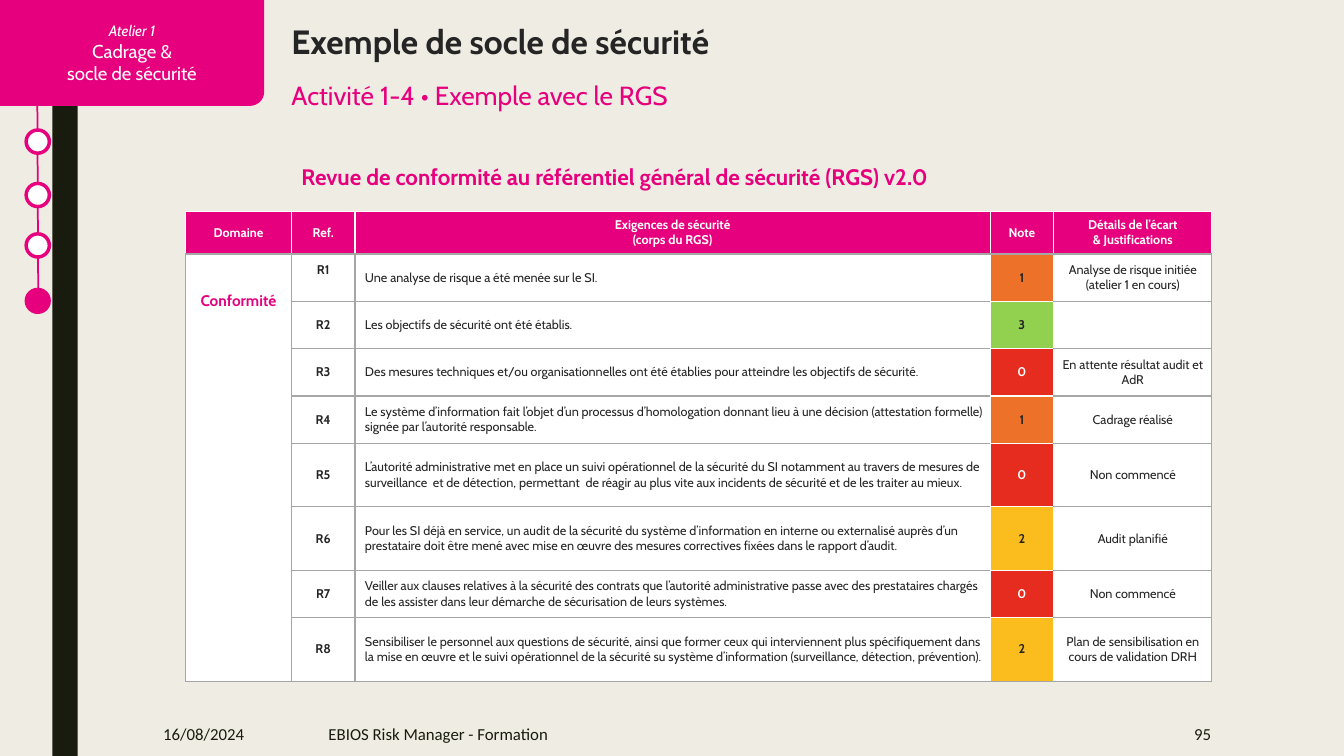
from math import cos, pi, sin

from lxml.etree import SubElement
from pptx import Presentation
from pptx.dml.color import RGBColor
from pptx.enum.shapes import MSO_CONNECTOR, MSO_SHAPE
from pptx.enum.text import MSO_ANCHOR, PP_ALIGN
from pptx.oxml.ns import qn
from pptx.util import Inches, Pt

PINK, HEADER_PINK, WHITE = "E6007E", "E7007E", "FFFFFF"
INK, DARK, GREY = "252525", "191B0E", "A6A6A6"
LEFT, CENTER, RIGHT = PP_ALIGN.LEFT, PP_ALIGN.CENTER, PP_ALIGN.RIGHT


def rgb(color):
    return RGBColor.from_string(color)


def write(tf, text, size, color, bold=False, align=LEFT, font="Cabin"):
    """Fill a text frame with text in a single style."""
    tf.word_wrap = True
    tf.text = text
    for p in tf.paragraphs:
        p.alignment = align
        for r in p.runs:
            r.font.name = font
            r.font.size = Pt(size)
            r.font.bold = bold
            r.font.color.rgb = rgb(color)


prs = Presentation()
prs.slide_width, prs.slide_height = Inches(13.33), Inches(7.5)
s = prs.slides.add_slide(prs.slide_layouts[6])
s.background.fill.solid()
s.background.fill.fore_color.rgb = rgb("EFEDE3")

# Side bar and progress markers
bar = s.shapes.add_shape(MSO_SHAPE.RECTANGLE, Inches(0.52), 0, Inches(0.25), Inches(7.5))
bar.shadow.inherit = False
bar.fill.solid()
bar.fill.fore_color.rgb = rgb(DARK)
bar.line.fill.background()

track = s.shapes.add_connector(MSO_CONNECTOR.STRAIGHT, Inches(0.37), Inches(0.89),
                               Inches(0.38), Inches(3.1))
track.line.color.rgb = rgb(PINK)
track.line.width = Pt(1.25)
SubElement(track._element.spPr, qn("a:effectLst"))

for top, fill, width in [(1.29, WHITE, 2.5), (1.82, WHITE, 2.5),
                         (2.32, WHITE, 2.5), (2.87, PINK, 2.25)]:
    step = s.shapes.add_shape(MSO_SHAPE.OVAL, Inches(0.26), Inches(top),
                              Inches(0.23), Inches(0.23))
    step.shadow.inherit = False
    step.fill.solid()
    step.fill.fore_color.rgb = rgb(fill)
    step.line.color.rgb = rgb(PINK)
    step.line.width = Pt(width)

# Workshop tab with one rounded corner
tab_w, tab_h, radius = Inches(2.62), Inches(1.05), Inches(0.14)
corner = [(tab_w - radius + radius * cos(i * pi / 24),
           tab_h - radius + radius * sin(i * pi / 24)) for i in range(13)]
builder = s.shapes.build_freeform(0, 0)
builder.add_line_segments([(tab_w, 0), *corner, (0, tab_h)], close=True)
tab = builder.convert_to_shape()
tab.shadow.inherit = False
tab.fill.solid()
tab.fill.fore_color.rgb = rgb(PINK)
tab.line.fill.background()
tf = tab.text_frame
write(tf, "Atelier 1\nCadrage &\nsocle de sécurité", 13.3, WHITE, align=CENTER)
tf.vertical_anchor = MSO_ANCHOR.MIDDLE
workshop = tf.paragraphs[0].runs[0].font
workshop.size, workshop.italic = Pt(10.7), True

# Compliance table
headers = ["Domaine", "Ref.", "Exigences de sécurité\n(corps du RGS)", "Note",
           "Détails de l’écart\v& Justifications"]
requirements = [
    ("Une analyse de risque a été menée sur le SI.",
     "1", "Analyse de risque initiée (atelier 1 en cours)"),
    ("Les objectifs de sécurité ont été établis.", "3", ""),
    ("Des mesures techniques et/ou organisationnelles ont été établies pour atteindre "
     "les objectifs de sécurité.", "0", "En attente résultat audit et AdR"),
    ("Le système d’information fait l’objet d’un processus d’homologation donnant lieu à "
     "une décision (attestation formelle) signée par l’autorité responsable.",
     "1", "Cadrage réalisé"),
    ("L’autorité administrative met en place un suivi opérationnel de la sécurité du SI "
     "notamment au travers de mesures de surveillance  et de détection, permettant  de réagir "
     "au plus vite aux incidents de sécurité et de les traiter au mieux.",
     "0", "Non commencé"),
    ("Pour les SI déjà en service, un audit de la sécurité du système d’information en interne "
     "ou externalisé auprès d’un prestataire doit être mené avec mise en œuvre des mesures "
     "correctives fixées dans le rapport d’audit.", "2", "Audit planifié"),
    ("Veiller aux clauses relatives à la sécurité des contrats que l’autorité administrative "
     "passe avec des prestataires chargés de les assister dans leur démarche de sécurisation "
     "de leurs systèmes.", "0", "Non commencé"),
    ("Sensibiliser le personnel aux questions de sécurité, ainsi que former ceux qui "
     "interviennent plus spécifiquement dans la mise en œuvre et le suivi opérationnel de la "
     "sécurité su système d’information (surveillance, détection, prévention).",
     "2", "Plan de sensibilisation en cours de validation DRH"),
]
note_fills = {"0": "E52C1F", "1": "EE712A", "2": "FBBD1E", "3": "92D050"}
rows = [headers] + [["Conformité" if i == 1 else "", f"R{i}", *req]
                    for i, req in enumerate(requirements, 1)]
col_widths = [1.05, 0.63, 6.3, 0.63, 1.57]
row_heights = [0.42, 0.47, 0.47, 0.47, 0.47, 0.63, 0.63, 0.47, 0.63]
last = len(rows) - 1

table = s.shapes.add_table(len(rows), len(headers), Inches(1.84), Inches(2.1),
                           Inches(sum(col_widths)), Inches(sum(row_heights))).table
table.horz_banding = False
for column, width in zip(table.columns, col_widths):
    column.width = Inches(width)
for row, height in zip(table.rows, row_heights):
    row.height = Inches(height)
table.cell(1, 0).merge(table.cell(last, 0))

for i, row in enumerate(rows):
    for j, text in enumerate(row):
        cell = table.cell(i, j)
        head, note = i == 0, j == 3
        white_sides = {"lnL": head or j >= 3,
                       "lnR": head or j in (2, 3),
                       "lnT": head or (note and i > 1),
                       "lnB": note and 0 < i < last}
        for side, white in white_sides.items():
            ln = SubElement(cell._tc.get_or_add_tcPr(), qn(f"a:{side}"), w=str(Pt(1)))
            SubElement(SubElement(ln, qn("a:solidFill")), qn("a:srgbClr"),
                       val=WHITE if white else GREY)
        cell.fill.solid()
        fill = HEADER_PINK if head else note_fills[text] if note else WHITE
        cell.fill.fore_color.rgb = rgb(fill)
        cell.vertical_anchor = MSO_ANCHOR.MIDDLE
        cell.margin_left = Inches(0.07 if head or j > 2 else 0.1 if j == 2 else 0)
        cell.margin_right = Inches(0.07 if head or j > 1 else 0)
        cell.margin_top = cell.margin_bottom = 0
        color = WHITE if head or (note and text == "0") else INK
        if text:
            write(cell.text_frame, text, 9, color, bold=head or j in (1, 3),
                  align=LEFT if j == 2 and not head else CENTER)

domain = table.cell(1, 0)
write(domain.text_frame, "Conformité", 11, HEADER_PINK, bold=True, align=CENTER)
domain.vertical_anchor = MSO_ANCHOR.TOP
domain.margin_top = Inches(0.37)
table.cell(1, 1).margin_bottom = Inches(0.15)

# Titles
for left, top, width, height, text, size, color, bold in [
    (2.99, 1.62, 7.19, 0.27,
     "Revue de conformité au référentiel général de sécurité (RGS) v2.0", 16, PINK, True),
    (2.89, 0.21, 9.97, 0.4, "Exemple de socle de sécurité", 24, INK, True),
    (2.89, 0.79, 9.39, 0.31, "Activité 1-4 • Exemple avec le RGS", 18.7, PINK, False),
]:
    tf = s.shapes.add_textbox(Inches(left), Inches(top), Inches(width), Inches(height)).text_frame
    tf.margin_left = tf.margin_top = tf.margin_right = tf.margin_bottom = 0
    write(tf, text, size, color, bold)

# Footer
for left, width, text, align in [(1.52, 1.32, "16/08/2024", LEFT),
                                 (3.16, 6.87, "EBIOS Risk Manager - Formation", LEFT),
                                 (10.36, 1.75, "95", RIGHT)]:
    tf = s.shapes.add_textbox(Inches(left), Inches(7.06), Inches(width), Inches(0.44)).text_frame
    tf.vertical_anchor = MSO_ANCHOR.MIDDLE
    write(tf, text, 12, DARK, align=align, font="Calibri")

prs.save("out.pptx")
